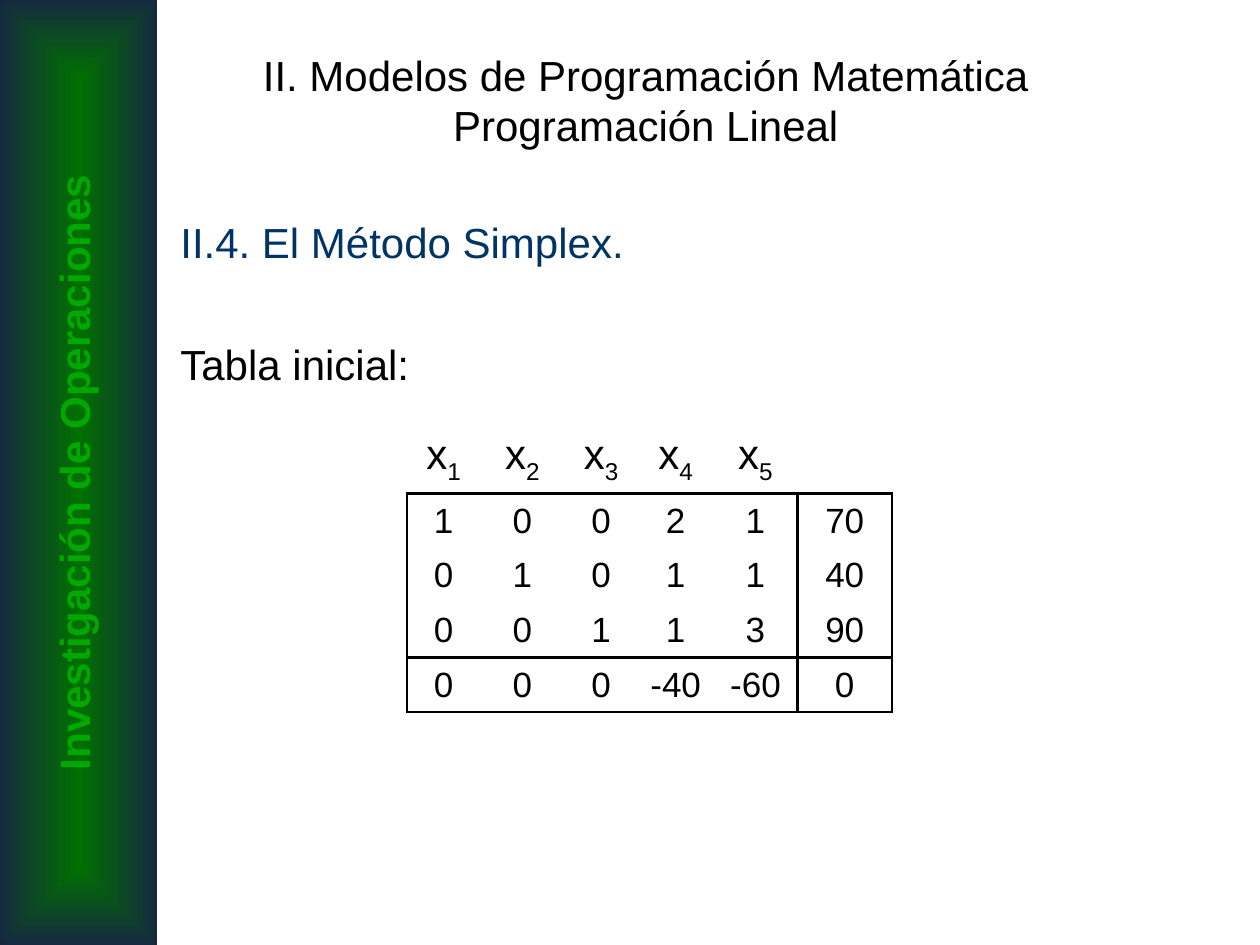
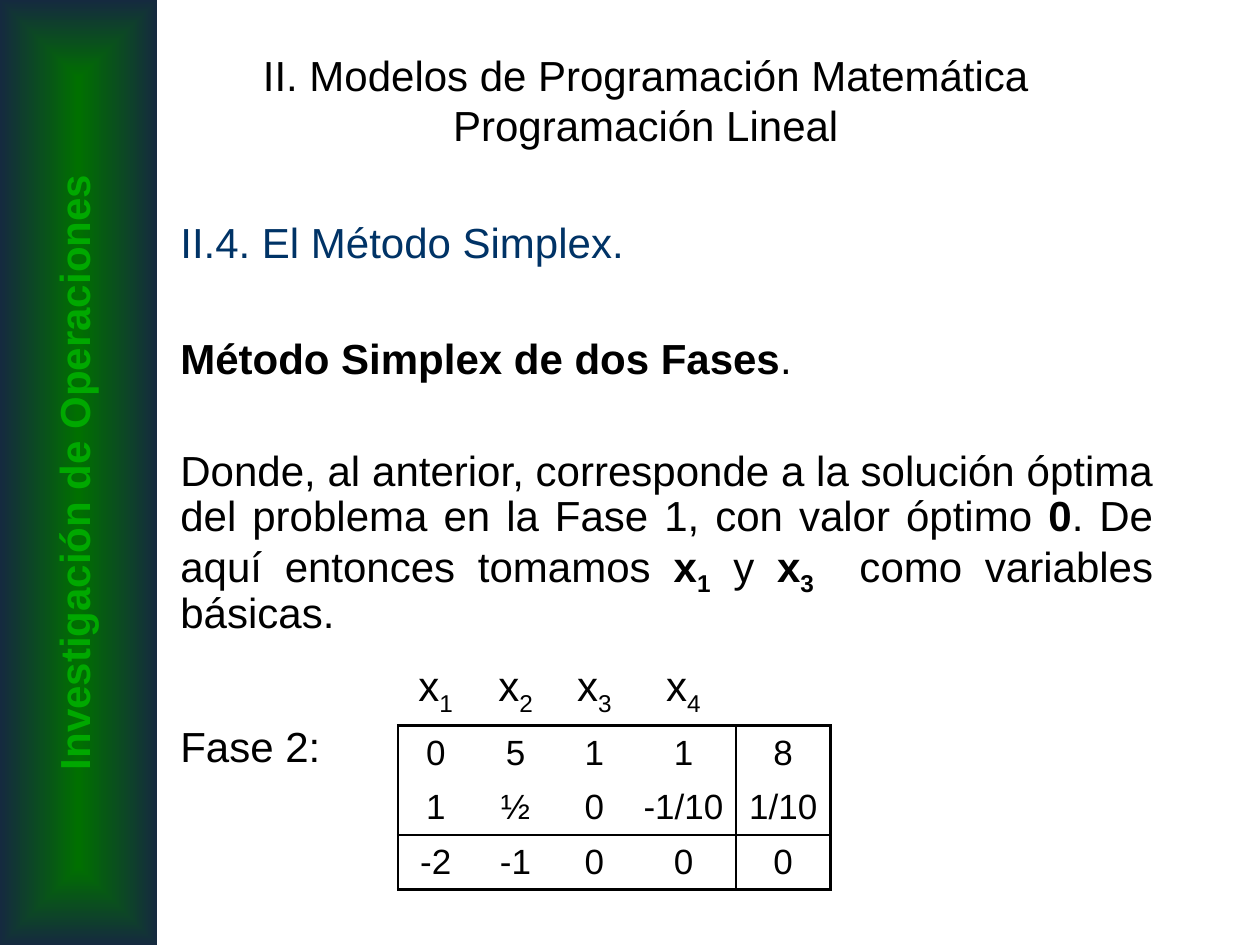
from dataclasses import dataclass
from typing import NamedTuple

from lxml.etree import SubElement as Sub
from pptx import Presentation
from pptx.dml.color import RGBColor
from pptx.enum.shapes import MSO_SHAPE as Shape
from pptx.enum.text import MSO_ANCHOR as Anchor, PP_ALIGN as Align
from pptx.oxml.ns import qn
from pptx.util import Inches, Pt

COLS, ROWS = 120, 90
WIDE, HIGH = Inches(10), Inches(7.5)
FONT = "Arial"
BLACK, NAVY, LIME = "000000", "003366", "00A800"
GLOW, DUSK = "007000", "152A3F"
RULE = 1.47
HEAD, LINE, PAD = 6.7, 5.2, 0.4
PLAIN = "{2D5ABB26-0587-4C30-8999-92F81FD0307C}"
TITLE = "II. Modelos de Programación Matemática\vProgramación Lineal"
TOPIC = "II.4. El Método Simplex."
COURSE = "Investigación de Operaciones"


class Box(NamedTuple):
    col: float
    row: float
    wide: float
    high: float


class Bit(NamedTuple):
    text: str
    bold: bool = False
    low: bool = False


@dataclass
class Para:
    bits: list[Bit]
    color: str = BLACK
    size: float = 24
    align: Align = Align.JUSTIFY
    gap: float = 0
    lead: float = 1


@dataclass
class Grid:
    col: float
    row: float
    cols: list[float]
    cells: list[list[str]]


@dataclass
class Page:
    body: list[Para]
    grid: Grid


BAND = Box(0, 0, 15, ROWS)
SIDE = Box(-38, 42, ROWS, 6)
NAME = Box(16, 2, 91, 15)
BODY = Box(16, 20, 95, 66)


def x(cols: float) -> int:
    return round(WIDE * cols / COLS)


def y(rows: float) -> int:
    return round(HIGH * rows / ROWS)


def place(box: Box) -> tuple[int, int, int, int]:
    return x(box.col), y(box.row), x(box.wide), y(box.high)


def tint(code: str) -> RGBColor:
    return RGBColor.from_string(code)


def write(p, para: Para) -> None:
    p.alignment = para.align
    p.line_spacing = para.lead
    if para.gap:
        p.space_before = Pt(para.gap)
    font = p.font
    font.name, font.size = FONT, Pt(para.size)
    font.color.rgb = tint(para.color)
    same = len({bit.bold for bit in para.bits}) == 1
    if same:
        font.bold = para.bits[0].bold
    for bit in para.bits:
        if "\v" in bit.text:
            p.text = bit.text
            continue
        run = p.add_run()
        run.text = bit.text
        if not same:
            run.font.bold = bit.bold
        if bit.low:
            run._r.get_or_add_rPr().set("baseline", "-25000")


def add_text(slide, box: Box, paras: list[Para], anchor=Anchor.TOP, turn: float = 0) -> None:
    shape = slide.shapes.add_textbox(*place(box))
    shape.rotation = turn
    frame = shape.text_frame
    frame.word_wrap = True
    frame.vertical_anchor = anchor
    for i, para in enumerate(paras):
        write(frame.add_paragraph() if i else frame.paragraphs[0], para)


def add_band(slide) -> None:
    band = slide.shapes.add_shape(Shape.RECTANGLE, *place(BAND))
    band.shadow.inherit = False
    band.line.fill.background()
    band.fill.gradient()
    for stop, code in zip(band.fill.gradient_stops, (GLOW, DUSK)):
        stop.color.rgb = tint(code)
    grad = band._element.spPr.find(qn("a:gradFill"))
    grad.remove(grad.find(qn("a:lin")))
    route = Sub(grad, qn("a:path"), {"path": "rect"})
    Sub(route, qn("a:fillToRect"), dict.fromkeys("ltrb", "50000"))


def rule(cell, sides: dict[str, bool]) -> None:
    props = cell._tc.get_or_add_tcPr()
    for side, drawn in sides.items():
        edge = Sub(props, qn(f"a:ln{side}"), {"w": str(Pt(RULE) if drawn else 0)})
        if drawn:
            fill = Sub(edge, qn("a:solidFill"))
            Sub(fill, qn("a:srgbClr"), {"val": BLACK})
        else:
            Sub(edge, qn("a:noFill"))


def add_grid(slide, grid: Grid) -> None:
    count = len(grid.cols)
    heads = [f"x{n}" for n in range(1, count)] + [""]
    rows = [heads] + grid.cells
    last, end = len(rows) - 1, count - 1
    box = Box(grid.col, grid.row, sum(grid.cols), HEAD + LINE * last)
    table = slide.shapes.add_table(len(rows), count, *place(box)).table
    table.first_row = table.horz_banding = False
    table._tbl.tblPr.find(qn("a:tableStyleId")).text = PLAIN
    for col, wide in zip(table.columns, grid.cols):
        col.width = x(wide)
    for r, texts in enumerate(rows):
        table.rows[r].height = y(LINE if r else HEAD)
        for c, text in enumerate(texts):
            cell = table.cell(r, c)
            cell.vertical_anchor = Anchor.MIDDLE
            cell.margin_left = cell.margin_right = x(PAD)
            rule(cell, {"L": r > 0 and c in (0, end),
                        "R": r > 0 and c >= end - 1,
                        "T": r in (1, last),
                        "B": r in (0, last - 1, last)})
            cell.fill.background()
            if text:
                bits = [Bit(text)] if r else [Bit(text[0]), Bit(text[1:], low=True)]
                write(cell.text_frame.paragraphs[0],
                      Para(bits, size=20 if r else 24, align=Align.CENTER))


PAGES = [
    Page(
        [Para([Bit("Tabla inicial:")], gap=41)],
        Grid(38.76, 40.3, [7, 8, 7, 7.2, 8, 9], [
            ["1", "0", "0", "2", "1", "70"],
            ["0", "1", "0", "1", "1", "40"],
            ["0", "0", "1", "1", "3", "90"],
            ["0", "0", "0", "-40", "-60", "0"],
        ]),
    ),
    Page(
        [
            Para([Bit("Método Simplex de dos Fases", True), Bit(".")], gap=41, lead=0.9),
            Para([
                Bit("Donde, al anterior, corresponde a la solución óptima del "
                    "problema en la Fase 1, con valor óptimo"),
                Bit(" 0", True),
                Bit(". De aquí entonces tomamos "),
                Bit("x", True), Bit("1", True, True),
                Bit(" y "),
                Bit("x", True), Bit("3", True, True),
                Bit("  como variables básicas."),
            ], gap=38, lead=0.9),
            Para([Bit("Fase 2:")], gap=47),
        ],
        Grid(37.9, 62.4, [7.2, 8, 7, 10, 9], [
            ["0", "5", "1", "1", "8"],
            ["1", "½", "0", "-1/10", "1/10"],
            ["-2", "-1", "0", "0", "0"],
        ]),
    ),
]


def main() -> None:
    deck = Presentation()
    deck.slide_width, deck.slide_height = WIDE, HIGH
    for page in PAGES:
        slide = deck.slides.add_slide(deck.slide_layouts[6])
        add_band(slide)
        add_text(slide, SIDE, [Para([Bit(COURSE, True)], LIME, align=Align.CENTER)], turn=270)
        add_text(slide, BODY, [Para([Bit(TOPIC)], NAVY)] + page.body)
        add_grid(slide, page.grid)
        add_text(slide, NAME, [Para([Bit(TITLE)], align=Align.CENTER)], Anchor.MIDDLE)
    deck.save("out.pptx")


if __name__ == "__main__":
    main()
